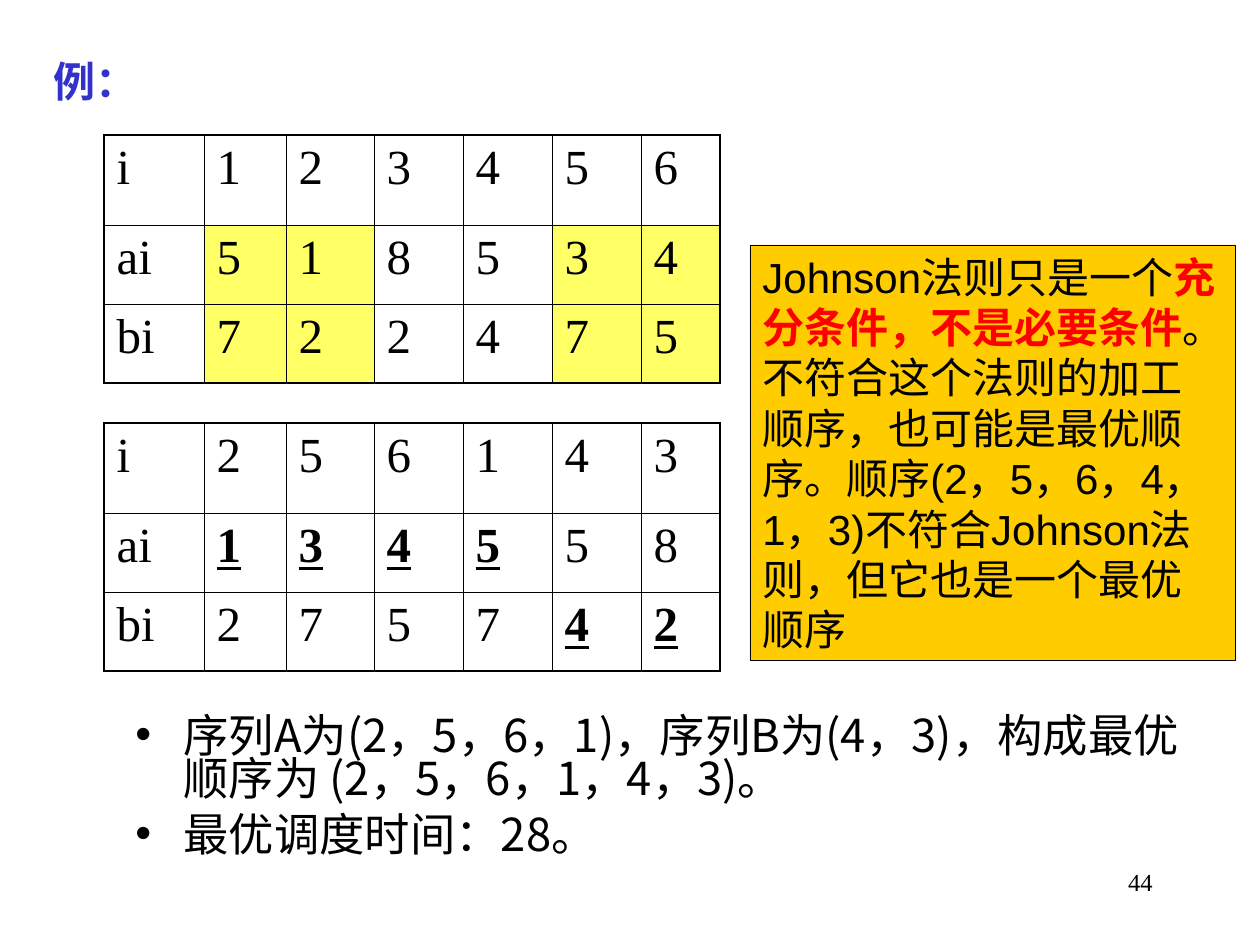
from dataclasses import dataclass

from lxml import etree
from pptx import Presentation
from pptx.dml.color import RGBColor as Rgb
from pptx.enum.shapes import MSO_SHAPE as Shape
from pptx.enum.text import MSO_ANCHOR as Anchor, MSO_AUTO_SIZE as AutoSize, PP_ALIGN as Align
from pptx.oxml.ns import qn
from pptx.util import Inches, Pt

PX = Inches(1) / 126


@dataclass(frozen=True)
class Theme:
    ink: str = "000000"
    title: str = "3333CC"
    alert: str = "FF0000"
    callout: str = "FFCC00"
    mark: str = "FFFF66"
    serif: str = "Times New Roman"
    sans: str = "Arial"
    cjk: str = "Noto Sans CJK SC"
    number_size: float = 14
    cell_size: float = 28
    body_size: float = 25.9
    text_size: float = 24
    thin: float = 0.45
    thick: float = 1.08


theme = Theme()


def add_span(para, text, face, size, color=theme.ink, **formats):
    span = para.add_run()
    span.text = text
    span.font.color.rgb = Rgb.from_string(color)
    for name, value in {"name": face, "size": Pt(size), **formats}.items():
        setattr(span.font, name, value)
    etree.SubElement(span.font._element, qn("a:ea"), typeface=theme.cjk)


def set_borders(cell, weights):
    """Draw the left, right, top and bottom edges, in that order."""
    props = cell._tc.get_or_add_tcPr()
    for place, (side, weight) in enumerate(zip("LRTB", weights)):
        line = etree.Element(qn(f"a:ln{side}"), w=str(int(Pt(weight))))
        fill = etree.SubElement(line, qn("a:solidFill"))
        etree.SubElement(fill, qn("a:srgbClr"), val=theme.ink)
        props.insert(place, line)


deck = Presentation()
deck.slide_width, deck.slide_height = Inches(10), Inches(7.5)
page = deck.slides.add_slide(deck.slide_layouts[6])

# Page number
box = page.shapes.add_textbox(*(round(v * PX) for v in (903, 861, 262, 63)))
box.text_frame.word_wrap = True
para = box.text_frame.paragraphs[0]
para.alignment = Align.RIGHT
add_span(para, "44", theme.serif, theme.number_size)

# Job tables: the given order, then the best order
column_widths = (100, 82, 88, 89, 89, 89, 79)
row_heights = (90, 79, 79)
marked = {(row, col) for row in (1, 2) for col in (1, 2, 5, 6)}
chosen = {(1, col) for col in (1, 2, 3, 4)} | {(2, 5), (2, 6)}
job_tables = (
    (135, ("i 1 2 3 4 5 6", "ai 5 1 8 5 3 4", "bi 7 2 2 4 7 5"), marked, set()),
    (423, ("i 2 5 6 1 4 3", "ai 1 3 4 5 5 8", "bi 2 7 5 7 4 2"), set(), chosen),
)
for top, lines, filled, underlined in job_tables:
    area = (104, top, sum(column_widths), sum(row_heights))
    table = page.shapes.add_table(3, 7, *(round(v * PX) for v in area)).table
    table.first_row = table.horz_banding = False
    for column, width in zip(table.columns, column_widths):
        column.width = round(width * PX)
    for r, (line, height) in enumerate(zip(lines, row_heights)):
        table.rows[r].height = round(height * PX)
        for c, text in enumerate(line.split()):
            cell = table.cell(r, c)
            if (r, c) in filled:
                cell.fill.solid()
                cell.fill.fore_color.rgb = Rgb.from_string(theme.mark)
            else:
                cell.fill.background()
            outer = (c == 0, c == 6, r == 0, r == 2)
            set_borders(cell, [theme.thick if edge else theme.thin for edge in outer])
            strong = (r, c) in underlined
            add_span(cell.text_frame.paragraphs[0], text, theme.serif,
                     theme.cell_size, bold=strong, underline=strong)

# Conclusions
box = page.shapes.add_textbox(*(round(v * PX) for v in (123, 711, 1074, 168)))
frame = box.text_frame
frame.word_wrap = True
conclusions = (
    "序列A为(2，5，6，1)，序列B为(4，3)，构成最优顺序为 (2，5，6，1，4，3)。",
    "最优调度时间：28。",
)
for index, text in enumerate(conclusions):
    para = frame.add_paragraph() if index else frame.paragraphs[0]
    props = para._p.get_or_add_pPr()
    props.set("marL", str(round(48 * PX)))
    props.set("indent", str(round(-48 * PX)))
    etree.SubElement(props, qn("a:buFont"), typeface=theme.sans)
    etree.SubElement(props, qn("a:buChar"), char="•")
    para.line_spacing = 0.8
    if index:
        para.space_before = Pt(7)
    add_span(para, text, theme.cjk, theme.body_size)

# Callout
callout = page.shapes.add_shape(
    Shape.RECTANGLE, *(round(v * PX) for v in (750, 245, 486, 416)))
callout.shadow.inherit = False
callout.fill.solid()
callout.fill.fore_color.rgb = Rgb.from_string(theme.callout)
callout.line.color.rgb = Rgb.from_string(theme.ink)
callout.line.width = Pt(0.5)
frame = callout.text_frame
for name, value in {"word_wrap": True, "vertical_anchor": Anchor.TOP,
                    "auto_size": AutoSize.SHAPE_TO_FIT_TEXT}.items():
    setattr(frame, name, value)
para = frame.paragraphs[0]
para.alignment = Align.LEFT
for text, color, bold in (
    ("Johnson法则只是一个", theme.ink, False),
    ("充分条件，不是必要条件", theme.alert, True),
    ("。不符合这个法则的加工顺序，也可能是最优顺序。顺序(2，5，6，4，1，3)"
     "不符合Johnson法则，但它也是一个最优顺序", theme.ink, False),
):
    add_span(para, text, theme.sans, theme.text_size, color, bold=bold)

# Heading
box = page.shapes.add_textbox(*(round(v * PX) for v in (20, 49, 108, 63)))
box.text_frame.word_wrap = False
box.text_frame.auto_size = AutoSize.SHAPE_TO_FIT_TEXT
para = box.text_frame.paragraphs[0]
para.alignment = Align.CENTER
add_span(para, "例：", theme.cjk, theme.text_size, theme.title, bold=True)

deck.save("out.pptx")
